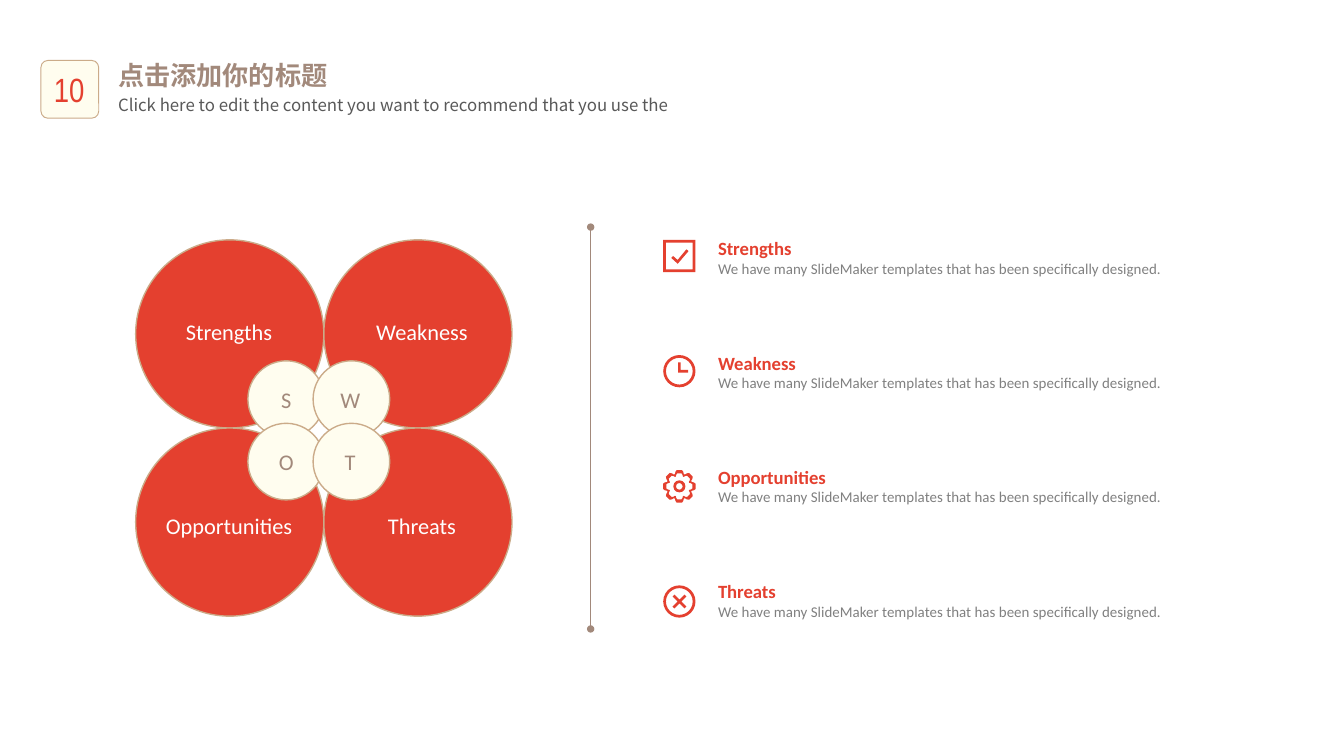
from collections.abc import Callable
from dataclasses import dataclass
from math import cos, radians, sin

from lxml.etree import SubElement
from pptx import Presentation
from pptx.dml.color import RGBColor
from pptx.enum.shapes import MSO_CONNECTOR as Connector, MSO_SHAPE as Preset
from pptx.enum.text import MSO_ANCHOR as Anchor, MSO_AUTO_SIZE as AutoSize, PP_ALIGN as Align
from pptx.oxml.ns import qn
from pptx.util import Inches, Pt

RED = RGBColor(0xE4, 0x40, 0x2F)
CREAM = RGBColor(0xFF, 0xFD, 0xEF)
GOLD = RGBColor(0xCB, 0xAB, 0x89)
TAUPE = RGBColor(0xA2, 0x89, 0x7B)
DARK_GREY = RGBColor(0x59, 0x59, 0x59)
GREY = RGBColor(0x80, 0x80, 0x80)
WHITE = RGBColor(0xFF, 0xFF, 0xFF)

LATIN = "Calibri"
CJK = "Noto Sans CJK SC"
DETAIL = "We have many SlideMaker templates that has been specifically designed."
CELL = 0.1
ICON_SIZE = 2.4
ICON_STROKE = 0.085
Point = tuple[float, float]


@dataclass(frozen=True)
class Style:
    size: float
    color: RGBColor
    font: str = LATIN
    bold: bool = False


@dataclass(frozen=True)
class Box:
    col: float
    row: float
    cols: float
    rows: float

    def place(self) -> tuple[int, int, int, int]:
        return cells(self.col), cells(self.row), cells(self.cols), cells(self.rows)


@dataclass(frozen=True)
class Quadrant:
    name: str
    draw_icon: Callable[[float, float], None]


def cells(count: float) -> int:
    return Inches(count * CELL)


def draw_preset(preset: Preset, box: Box, fill: RGBColor, line: RGBColor | None = None,
                line_width: float = 0.75, adjust: float | None = None, turn: float = 0) -> None:
    shape = slide.shapes.add_shape(preset, *box.place())
    shape.shadow.inherit = False
    shape.fill.solid()
    shape.fill.fore_color.rgb = fill
    shape.rotation = turn
    if adjust is not None:
        shape.adjustments[0] = adjust
    if line is None:
        shape.line.fill.background()
    else:
        shape.line.color.rgb = line
        shape.line.width = Pt(line_width)


def draw_outline(contours: list[list[Point]], fill: RGBColor) -> None:
    scaled = [[(cells(x), cells(y)) for x, y in contour] for contour in contours]
    builder = slide.shapes.build_freeform(*scaled[0][0])
    builder.add_line_segments(scaled[0][1:], close=True)
    for contour in scaled[1:]:
        builder.move_to(*contour[0])
        builder.add_line_segments(contour[1:], close=True)
    shape = builder.convert_to_shape()
    shape.shadow.inherit = False
    shape.fill.solid()
    shape.fill.fore_color.rgb = fill
    shape.line.fill.background()


def draw_text(box: Box, lines: list[tuple[str, Style]], align: Align = Align.LEFT, wrap: bool = True,
              inset: bool = True, anchor: Anchor = Anchor.TOP) -> None:
    frame = slide.shapes.add_textbox(*box.place()).text_frame
    frame.word_wrap = wrap
    frame.auto_size = AutoSize.SHAPE_TO_FIT_TEXT
    frame.vertical_anchor = anchor
    if not inset:
        frame.margin_left = frame.margin_top = frame.margin_right = frame.margin_bottom = 0
    frame.text = "\n".join(text for text, _ in lines)
    for paragraph, (_, style) in zip(frame.paragraphs, lines):
        paragraph.alignment = align
        font = paragraph.runs[0].font
        font.size = Pt(style.size)
        font.bold = style.bold
        font.color.rgb = style.color
        font.name = style.font
        SubElement(paragraph.runs[0]._r.get_or_add_rPr(), qn("a:ea"), typeface=style.font)


def draw_divider(col: float, top: float, bottom: float) -> None:
    divider = slide.shapes.add_connector(Connector.STRAIGHT, cells(col), cells(top), cells(col), cells(bottom))
    divider.line.color.rgb = TAUPE
    divider.line.width = Pt(0.5)
    properties = divider._element.spPr
    for end in ("a:headEnd", "a:tailEnd"):
        SubElement(properties.find(qn("a:ln")), qn(end), type="oval", w="sm", len="sm")
    SubElement(properties, qn("a:effectLst"))


def draw_ring(col: float, row: float) -> None:
    draw_preset(Preset.DONUT, Box(col, row, ICON_SIZE, ICON_SIZE), RED, adjust=ICON_STROKE)


def draw_check_icon(col: float, row: float) -> None:
    draw_preset(Preset.FRAME, Box(col, row, ICON_SIZE, ICON_SIZE), RED, adjust=ICON_STROKE)
    check = [(1.88, 0.84), (1.73, 0.7), (1.07, 1.5), (0.73, 1.2), (0.6, 1.35), (1.08, 1.78)]
    draw_outline([[(col + x, row + y) for x, y in check]], RED)


def draw_clock_icon(col: float, row: float) -> None:
    draw_ring(col, row)
    hands = [(1.1, 0.55), (1.3, 0.55), (1.3, 1.1), (1.85, 1.1), (1.85, 1.3), (1.1, 1.3)]
    draw_outline([[(col + x, row + y) for x, y in hands]], RED)


def draw_gear_icon(col: float, row: float) -> None:
    center = ICON_SIZE / 2
    tooth = [(-20, 0.97), (-15, 1.12), (-9, 1.23), (9, 1.23), (15, 1.12), (20, 0.97)]
    rim = [(radius * sin(radians(start + angle)), radius * cos(radians(start + angle)))
           for start in range(0, 360, 45) for angle, radius in tooth]
    draw_outline([[(col + center + x * share, row + center + y * share) for x, y in rim]
                  for share in (1, 0.8)], RED)
    hub = 0.9
    draw_preset(Preset.DONUT, Box(col + center - hub / 2, row + center - hub / 2, hub, hub), RED, adjust=0.23)


def draw_cross_icon(col: float, row: float) -> None:
    draw_ring(col, row)
    cross = 1.25
    margin = (ICON_SIZE - cross) / 2
    draw_preset(Preset.CROSS, Box(col + margin, row + margin, cross, cross), RED, adjust=0.42, turn=45)


def draw_heading() -> None:
    draw_preset(Preset.ROUNDED_RECTANGLE, Box(3.05, 4.5, 4.3, 4.3), CREAM, GOLD, 0.5, 0.12)
    draw_text(Box(2.6, 4.6, 5.1, 4), [("10", Style(18, RED, "Arial Narrow"))], Align.CENTER, anchor=Anchor.MIDDLE)
    draw_text(Box(7.8, 3.9, 86.2, 4.7), [("点击添加你的标题", Style(14, TAUPE, CJK, True))])
    draw_text(Box(7.8, 6.55, 86.2, 3.3),
              [("Click here to edit the content you want to recommend that you use the",
                Style(9, DARK_GREY, CJK))])


def draw_swot(quadrants: list[Quadrant]) -> None:
    spots = [(quadrant, index % 2, index // 2) for index, quadrant in enumerate(quadrants)]
    for _, across, down in spots:
        draw_preset(Preset.OVAL, Box(10.1 + 14 * across, 17.85 + 14 * down, 14, 14), RED, GOLD)
    for _, across, down in spots:
        draw_preset(Preset.OVAL, Box(18.45 + 4.85 * across, 26.85 + 4.65 * down, 5.7, 5.7), CREAM, GOLD)
    for quadrant, across, down in spots:
        draw_text(Box(19.6 + 4.75 * across, 28.25 + 4.6 * down, 3.4, 3),
                  [(quadrant.name[0], Style(12, TAUPE))], Align.CENTER, wrap=False)
        draw_text(Box(11.05 + 14.35 * across, 23.2 + 14.4 * down, 12, 3),
                  [(quadrant.name, Style(12, WHITE))], Align.CENTER, wrap=False)


def draw_details(quadrants: list[Quadrant]) -> None:
    for index, quadrant in enumerate(quadrants):
        quadrant.draw_icon(49.35, 17.85 + 8.57 * index)
        draw_text(Box(53.43, 17.65 + 8.5 * index, 37, 3),
                  [(quadrant.name, Style(10, RED, bold=True)), (DETAIL, Style(8, GREY))], inset=False)


deck = Presentation()
deck.slide_width = Inches(10)
deck.slide_height = deck.slide_width * 9 // 16
slide = deck.slides.add_slide(deck.slide_layouts[6])

swot = [
    Quadrant("Strengths", draw_check_icon),
    Quadrant("Weakness", draw_clock_icon),
    Quadrant("Opportunities", draw_gear_icon),
    Quadrant("Threats", draw_cross_icon),
]
draw_heading()
draw_swot(swot)
draw_details(swot)
draw_divider(43.95, 16.9, 46.8)
deck.save("out.pptx")
